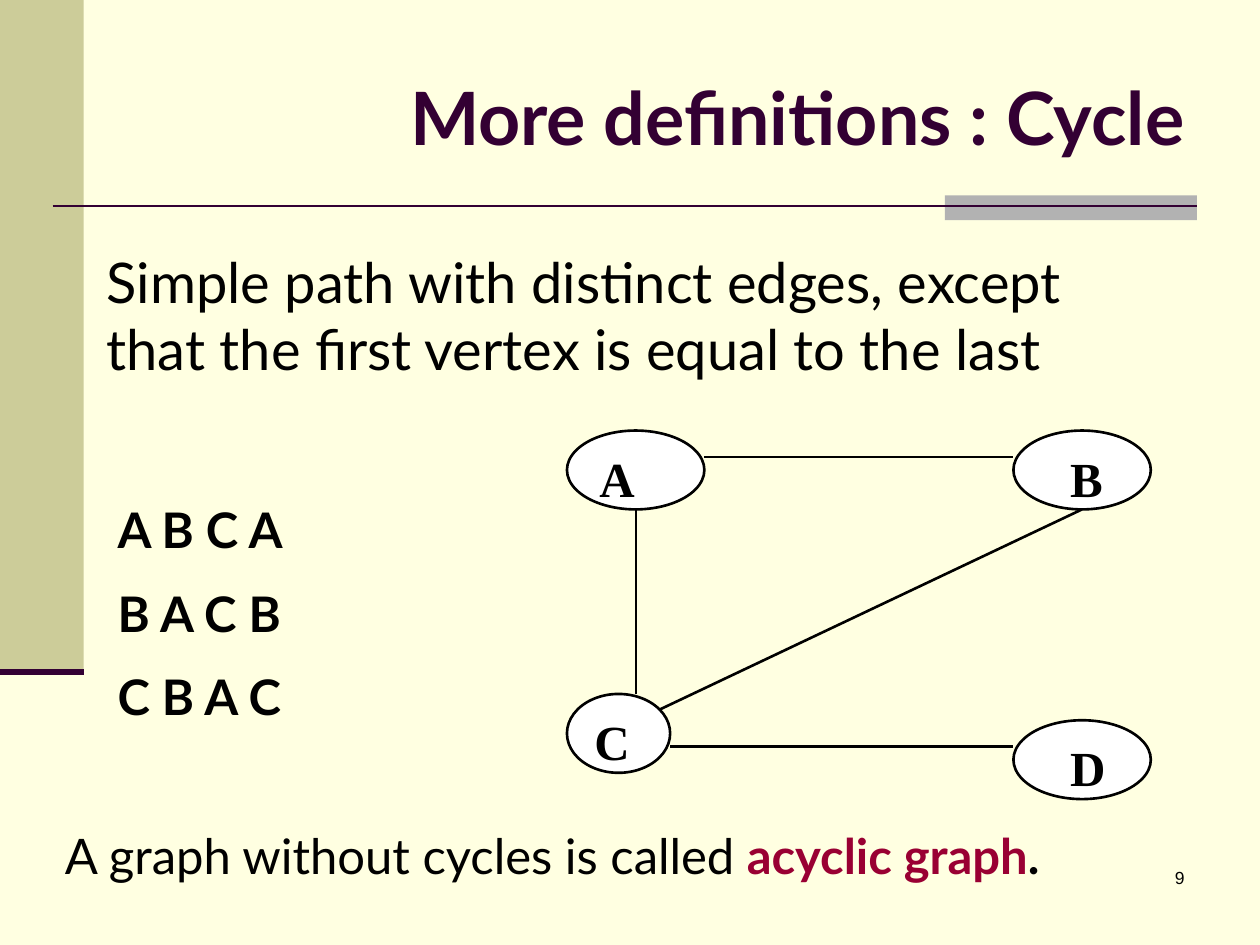
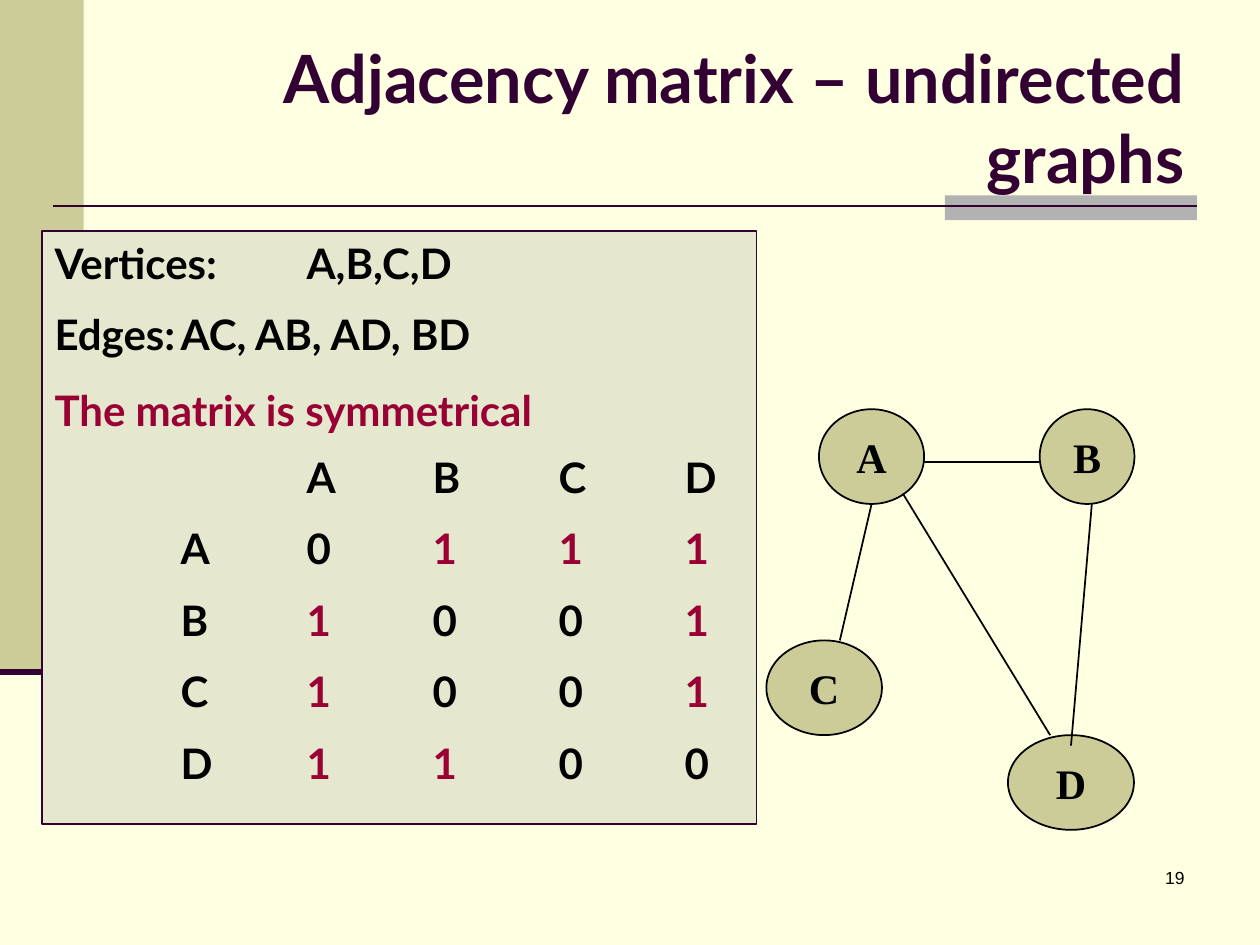
from dataclasses import dataclass
from typing import Any, NamedTuple, Optional

import lxml.etree
import pptx
import pptx.dml.color
import pptx.enum.shapes
import pptx.enum.text
import pptx.oxml.ns
import pptx.util

Cm = pptx.util.Cm
Pt = pptx.util.Pt
qn = pptx.oxml.ns.qn
SHAPE = pptx.enum.shapes.MSO_SHAPE
ALIGN = pptx.enum.text.PP_ALIGN
ANCHOR = pptx.enum.text.MSO_ANCHOR


@dataclass(frozen=True)
class Theme:
    page: str = "FFFFE1"
    band: str = "CCCC99"
    accent: str = "B2B2B2"
    dark: str = "330033"
    ink: str = "000000"
    key: str = "990033"
    panel: str = "E5E7CF"
    white: str = "FFFFFF"
    body_font: str = "Lato"
    node_font: str = "Times New Roman"
    number_font: str = "Arial"
    title: int = 42
    long_title: int = 38
    lead: int = 32
    text: int = 28
    small: int = 24
    number: int = 10


THEME = Theme()


class Box(NamedTuple):
    left: float
    top: float
    width: float
    height: float


class Run(NamedTuple):
    text: str
    size: int
    bold: bool = False
    color: str = THEME.ink
    font: str = THEME.body_font


class Edge(NamedTuple):
    x1: float
    y1: float
    x2: float
    y2: float


class Node(NamedTuple):
    label: str
    box: Box
    indent: float = 0


class NodeStyle(NamedTuple):
    fill: str
    size: int
    line: float
    centered: bool


Paragraphs = list[list[Run]]


def rgb(color: str) -> Any:
    return pptx.dml.color.RGBColor.from_string(color)


def apply(target: Any, values: dict[str, Any]) -> None:
    for name, value in values.items():
        setattr(target, name, value)


def write(tf: Any, paragraphs: Paragraphs, align: Any = ALIGN.LEFT,
          anchor: Any = ANCHOR.TOP, wrap: bool = True) -> None:
    apply(tf, {"word_wrap": wrap, "vertical_anchor": anchor})
    for i, runs in enumerate(paragraphs):
        p = tf.add_paragraph() if i else tf.paragraphs[0]
        p.alignment = align
        if i:
            p.space_before = Pt(runs[0].size / 2)
        for run in runs:
            r = p.add_run()
            r.text = run.text
            apply(r.font, {"name": run.font, "size": Pt(run.size), "bold": run.bold})
            r.font.color.rgb = rgb(run.color)


def add_tabs(p: Any, step: float, count: int) -> None:
    tabs = lxml.etree.SubElement(p._p.get_or_add_pPr(), qn("a:tabLst"))
    for i in range(1, count + 1):
        lxml.etree.SubElement(tabs, qn("a:tab"), pos=str(Cm(step * i)), algn="l")


def add_text(s: Any, box: Box, paragraphs: Paragraphs, align: Any = ALIGN.LEFT,
             anchor: Any = ANCHOR.TOP) -> None:
    sp = s.shapes.add_textbox(*map(Cm, box))
    write(sp.text_frame, paragraphs, align, anchor)


def add_shape(s: Any, kind: Any, box: Box, fill: str, line: Optional[str] = None,
              width: float = 1) -> Any:
    sp = s.shapes.add_shape(kind, *map(Cm, box))
    sp.shadow.inherit = False
    sp.fill.solid()
    sp.fill.fore_color.rgb = rgb(fill)
    if line:
        sp.line.color.rgb = rgb(line)
        sp.line.width = Pt(width)
    else:
        sp.line.fill.background()
    return sp


def add_line(s: Any, edge: Edge, color: str, width: float) -> None:
    sp = s.shapes.add_connector(pptx.enum.shapes.MSO_CONNECTOR.STRAIGHT, *map(Cm, edge))
    sp.line.color.rgb = rgb(color)
    sp.line.width = Pt(width)
    lxml.etree.SubElement(sp._element.spPr, qn("a:effectLst"))


def add_edges(s: Any, edges: list[Edge], style: NodeStyle) -> None:
    for edge in edges:
        add_line(s, edge, THEME.ink, style.line)


def add_nodes(s: Any, nodes: list[Node], style: NodeStyle) -> None:
    for node in nodes:
        sp = add_shape(s, SHAPE.OVAL, node.box, style.fill, THEME.ink, style.line)
        label = Run(node.label, style.size, True, font=THEME.node_font)
        if style.centered:
            write(sp.text_frame, [[label]], ALIGN.CENTER, ANCHOR.MIDDLE, False)
        else:
            sp.text_frame.margin_left = Cm(0.25 + node.indent)
            write(sp.text_frame, [[label]])


def new_slide(prs: Any, title: str, size: int, number: int) -> Any:
    s = prs.slides.add_slide(prs.slide_layouts[6])
    s.background.fill.solid()
    s.background.fill.fore_color.rgb = rgb(THEME.page)
    add_shape(s, SHAPE.RECTANGLE, Box(0, 0, 1.69, 13.55), THEME.band)
    add_shape(s, SHAPE.RECTANGLE, Box(19.05, 3.94, 5.08, 0.5), THEME.accent)
    add_line(s, Edge(1.06, 4.15, 24.13, 4.15), THEME.dark, 1.5)
    add_line(s, Edge(0, 13.55, 1.69, 13.55), THEME.dark, 3.5)
    add_text(s, Box(18.85, 17.36, 5.28, 1.27),
             [[Run(str(number), THEME.number, font=THEME.number_font)]], ALIGN.RIGHT)
    add_text(s, Box(2.54, 0.76, 21.59, 3.18),
             [[Run(title, size, True, THEME.dark)]], ALIGN.RIGHT, ANCHOR.MIDDLE)
    return s


def cycle_slide(prs: Any) -> None:
    s = new_slide(prs, "More definitions : Cycle", THEME.title, 9)
    definition = "Simple path with distinct edges, except that the first vertex is equal to the last"
    add_text(s, Box(1.9, 4.87, 20.75, 2.97), [[Run(definition, THEME.lead)]])
    cycles = ["A B C A", "B A C B", "C B A C"]
    add_text(s, Box(2.12, 9.95, 5.08, 5), [[Run(c, THEME.text, True)] for c in cycles])

    style = NodeStyle(THEME.white, THEME.text, 1.5, False)
    left, right, top, width, height = 11.43, 20.43, 8.68, 2.77, 1.59
    add_edges(s, [
        Edge(21.81, 10.27, 12.82, 14.53),
        Edge(14.2, 9.21, right, 9.21),
        Edge(12.82, 10.27, 12.82, 14),
        Edge(13.51, 15.05, right, 15.05),
    ], style)
    add_nodes(s, [
        Node("A", Box(left, top, width, height)),
        Node("B", Box(right, top, width, height), 0.49),
        Node("C", Box(left, 13.99, 2.08, height)),
        Node("D", Box(right, 14.52, width, height), 0.49),
    ], style)
    add_text(s, Box(1.06, 16.51, 22.43, 1.45), [[
        Run("A graph without cycles is called ", THEME.text),
        Run("acyclic graph", THEME.text, True, THEME.key),
        Run(".", THEME.text, True),
    ]])


def matrix_row(label: str, values: str) -> list[Run]:
    cells = [Run(f"\t{v}", THEME.small, True, THEME.key if v == "1" else THEME.ink)
             for v in values]
    return [Run(f"\t{label}", THEME.small, True), *cells]


def matrix_slide(prs: Any) -> None:
    s = new_slide(prs, "Adjacency matrix – undirected graphs", THEME.long_title, 19)
    panel = add_shape(s, SHAPE.RECTANGLE, Box(0.85, 4.66, 14.4, 11.96), THEME.panel, THEME.dark)
    headings = ["Vertices:\tA,B,C,D", "Edges:\tAC, AB, AD, BD", "\t\tA\tB\tC\tD"]
    matrix = {"A": "0111", "B": "1001", "C": "1001", "D": "1100"}
    tf = panel.text_frame
    write(tf, [[Run(h, THEME.small, True)] for h in headings]
          + [matrix_row(label, values) for label, values in matrix.items()])
    tf.paragraphs[2].space_before = Pt(52.8)
    for p in tf.paragraphs:
        add_tabs(p, 2.54, 5)
    add_text(s, Box(0.85, 7.62, 12.7, 1.27),
             [[Run("The matrix is symmetrical", THEME.small, True, THEME.key)]])

    style = NodeStyle(THEME.band, THEME.small, 1, True)
    top, height = 8.25, 1.91
    add_nodes(s, [
        Node("A", Box(16.51, top, 2.12, height)),
        Node("B", Box(20.96, top, 1.91, height)),
        Node("C", Box(15.45, 12.91, 2.33, height)),
        Node("D", Box(20.32, 14.82, 2.54, height)),
    ], style)
    add_edges(s, [
        Edge(18.63, 9.31, 20.96, 9.31),
        Edge(17.57, 10.16, 16.93, 12.91),
        Edge(18.2, 9.95, 21.17, 14.82),
        Edge(22.01, 10.16, 21.59, 15.03),
    ], style)


def main() -> None:
    prs = pptx.Presentation()
    apply(prs, {"slide_width": Cm(25.4), "slide_height": Cm(19.05)})
    cycle_slide(prs)
    matrix_slide(prs)
    prs.save("out.pptx")


if __name__ == "__main__":
    main()
